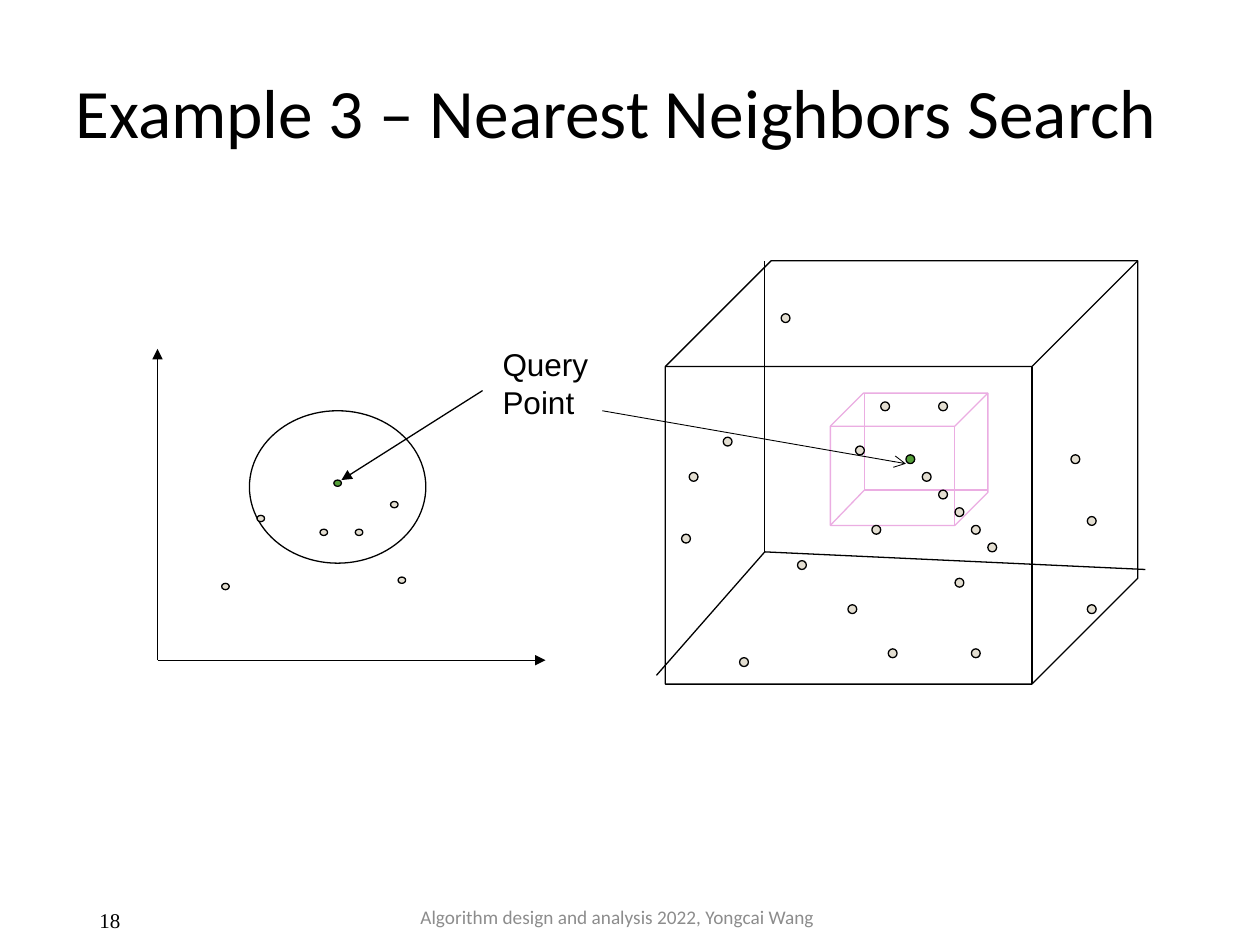
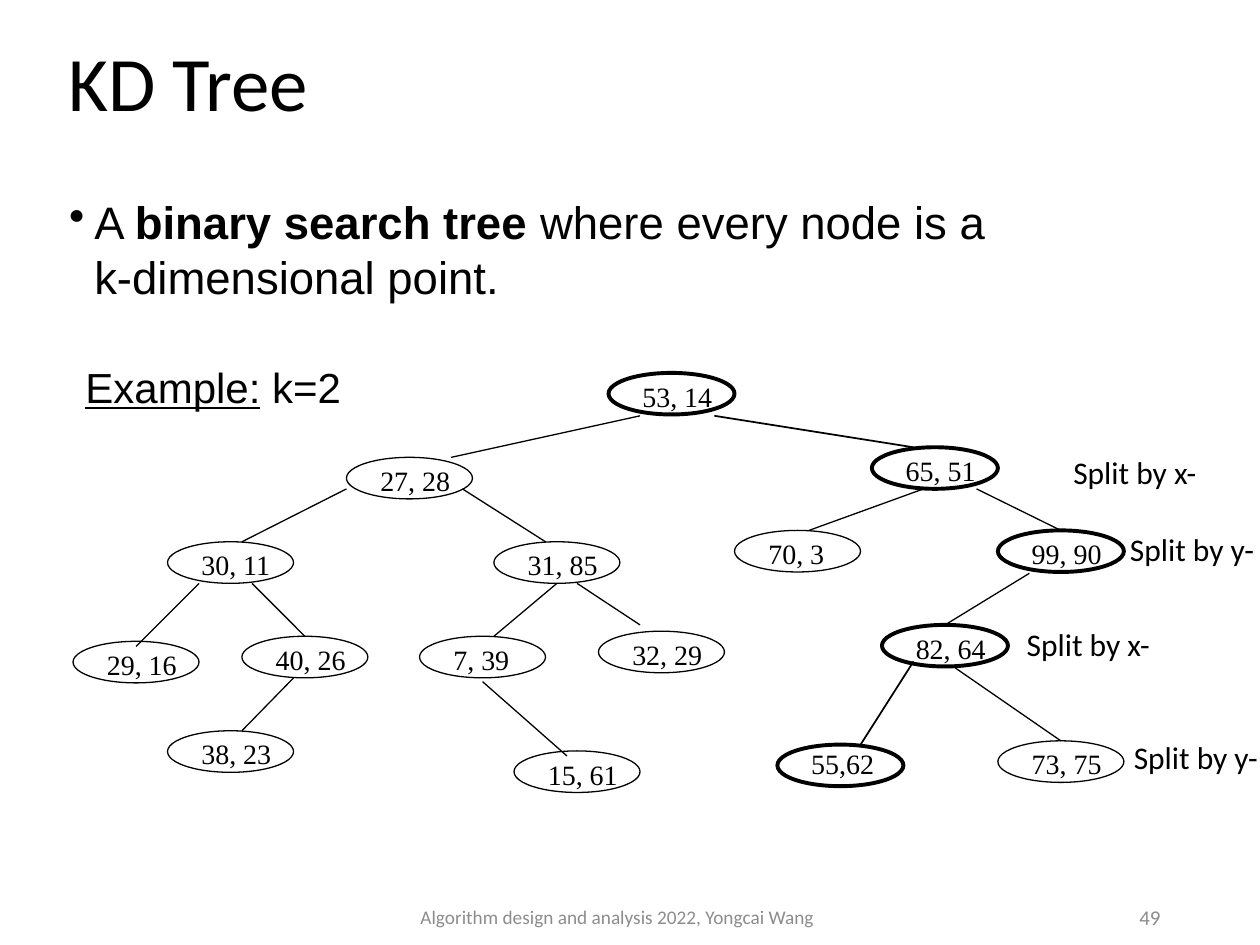
from lxml import etree
from pptx import Presentation
from pptx.dml.color import RGBColor
from pptx.enum.shapes import MSO_CONNECTOR, MSO_SHAPE
from pptx.enum.text import MSO_ANCHOR, MSO_AUTO_SIZE, PP_ALIGN
from pptx.oxml.ns import qn
from pptx.util import Pt

PX = 9144
STRAIGHT = MSO_CONNECTOR.STRAIGHT
OVAL = MSO_SHAPE.OVAL
DOT = MSO_SHAPE.FLOWCHART_CONNECTOR
CUBE = MSO_SHAPE.CUBE
TOP, MIDDLE = MSO_ANCHOR.TOP, MSO_ANCHOR.MIDDLE
LEFT, CENTER, RIGHT = PP_ALIGN.LEFT, PP_ALIGN.CENTER, PP_ALIGN.RIGHT
FIT_SHAPE, NO_FIT = MSO_AUTO_SIZE.SHAPE_TO_FIT_TEXT, MSO_AUTO_SIZE.NONE

BLACK, WHITE, GRAY = "000000", "FFFFFF", "8C8C8C"
GREEN, BEIGE, PINK = "549E39", "E3DED1", "EBADE2"
SANS, BODY, SERIF = "Calibri", "Arial", "Times New Roman"
FOOTER = "Algorithm design and analysis 2022, Yongcai Wang"
FOOTER_TOP, FOOTER_HEIGHT = 708, 40


def color(code):
    return RGBColor.from_string(code)


def px(*lengths):
    return [length * PX for length in lengths]


def set_attributes(target, values):
    for name, value in values.items():
        setattr(target, name, value)


class SlideBuilder:
    def __init__(self):
        self.deck = Presentation()
        self.deck.slide_width, self.deck.slide_height = px(1000, 750)
        self.page = None

    def new_page(self, title, place, size):
        self.page = self.deck.slides.add_slide(self.deck.slide_layouts[5])
        box = self.page.shapes.title
        set_attributes(box, dict(zip(("left", "top", "width", "height"), px(*place))))
        self.put_lines(box, [title], size, SANS, anchor=MIDDLE, spacing=0.9)
        self.text([FOOTER], (302, FOOTER_TOP, 376, FOOTER_HEIGHT), 11, SANS,
                  code=GRAY, align=CENTER, anchor=MIDDLE)

    def put_lines(self, box, lines, size, font, code=BLACK, align=LEFT, anchor=TOP,
                  wrap=True, spacing=1.0, bullet=False):
        frame = box.text_frame
        set_attributes(frame, {"word_wrap": wrap, "vertical_anchor": anchor,
                               "auto_size": NO_FIT if wrap else FIT_SHAPE})
        for index, line in enumerate(lines):
            para = frame.add_paragraph() if index else frame.paragraphs[0]
            if bullet:
                self.indent(para, "•" if index == 0 else None)
            set_attributes(para, {"alignment": align, "line_spacing": spacing,
                                  "space_before": Pt(0)})
            for part in [line] if isinstance(line, str) else line:
                words, accents = (part, {}) if isinstance(part, str) else part
                span = para.add_run()
                span.text = words
                set_attributes(span.font, {"size": Pt(size), "name": font, **accents})
                span.font.color.rgb = color(code)

    def indent(self, para, mark):
        properties = para._p.get_or_add_pPr()
        properties.set("marL", str(20 * PX))
        properties.set("indent", str(-20 * PX if mark else 0))
        if mark:
            etree.SubElement(properties, qn("a:buChar"), char=mark)
        else:
            etree.SubElement(properties, qn("a:buNone"))

    def text(self, lines, place, size, font, **options):
        self.put_lines(self.page.shapes.add_textbox(*px(*place)), lines, size, font, **options)

    def shape(self, kind, place, fill=None, line=BLACK, weight=0.75):
        shape = self.page.shapes.add_shape(kind, *px(*place))
        shape.shadow.inherit = False
        if fill:
            shape.fill.solid()
            shape.fill.fore_color.rgb = color(fill)
        else:
            shape.fill.background()
        shape.line.color.rgb = color(line)
        shape.line.width = Pt(weight)

    def line(self, ends, code=BLACK, weight=0.75, head=None):
        line = self.page.shapes.add_connector(STRAIGHT, *px(*ends))
        line.line.color.rgb = color(code)
        line.line.width = Pt(weight)
        properties = line._element.spPr
        if head:
            etree.SubElement(properties.find(qn("a:ln")), qn("a:tailEnd"), type=head)
        etree.SubElement(properties, qn("a:effectLst"))

    def dots(self, points, width, height, fill=BEIGE):
        for left, top in points:
            self.shape(DOT, (left, top, width, height), fill)

    def node(self, label, left, top, on_path=False, label_shift=0):
        self.shape(OVAL, (left, top, 100, 33), WHITE, weight=2.25 if on_path else 0.75)
        self.text([label], (left + 17, top + label_shift, 83, 37), 16, SERIF)


def add_neighbors_page(slides):
    slides.new_page("Example 3 – Nearest Neighbors Search", (50, 30, 915, 125), 39.6)
    slides.text(["18"], (69, 710, 225, FOOTER_HEIGHT), 12, SERIF, anchor=MIDDLE)

    for axis_end in ((125, 277), (433, 524)):
        slides.line((125, 524, *axis_end), head="triangle")
    slides.shape(OVAL, (198, 326, 140, 121))
    slides.dots([(265, 381)], 6, 5, GREEN)
    slides.dots([(176, 463), (316, 458), (204, 409), (310, 398), (282, 420), (254, 420)], 6, 5)
    slides.line((383, 310, 271, 381), head="triangle")
    slides.text(["Query", "Point"], (389, 269, 90, 71), 18, BODY)

    slides.shape(CUBE, (528, 207, 375, 336))
    for end in ((607, 207), (521, 536), (909, 452)):
        slides.line((607, 438, *end))
    slides.dots([(719, 361)], 7, 7, GREEN)
    slides.shape(CUBE, (659, 312, 125, 105), line=PINK)
    for end in ((686, 312), (659, 417), (784, 389)):
        slides.line((686, 389, *end), PINK)
    diagonal = [(732 + 13 * step, 375 + 14 * step) for step in range(5)]
    scattered = [(699, 319), (745, 319), (850, 361), (692, 417), (679, 354), (574, 347),
                 (633, 445), (705, 515), (547, 375), (541, 424), (863, 480), (863, 410),
                 (673, 480), (620, 249), (771, 515), (587, 522), (758, 459)]
    slides.dots(diagonal + scattered, 7, 7)
    slides.line((478, 326, 719, 368), weight=0.5, head="arrow")


def add_tree_page(slides):
    slides.new_page("KD Tree", (44, -4, 862, 145), 44)
    slides.text([["A ", ("binary search tree ", {"bold": True}), "where every node is a"],
                 "k-dimensional point."], (45, 149, 900, 98), 26, BODY, bullet=True)

    nodes = [("27, 28", 275, 363), ("31, 85", 392, 430), ("30, 11", 133, 430),
             ("70, 3", 583, 421), ("29, 16", 58, 509), ("40, 26", 192, 505),
             ("7, 39", 333, 505), ("32, 29", 475, 501), ("73, 75", 792, 588),
             ("15, 61", 408, 596), ("38, 23", 133, 580)]
    path_nodes = [("53, 14", 483, 296), ("65, 51", 692, 355), ("99, 90", 792, 421),
                  ("82, 64", 700, 496)]
    for node in nodes:
        slides.node(*node)
    for node in path_nodes:
        slides.node(*node, on_path=True)
    slides.node("55,62", 617, 591, on_path=True, label_shift=-3)

    edges = [(508, 330, 358, 363), (275, 388, 192, 430), (367, 388, 433, 430),
             (733, 388, 642, 421), (775, 388, 842, 421), (817, 455, 750, 496),
             (758, 530, 842, 588), (158, 463, 108, 513), (200, 463, 242, 505),
             (233, 538, 192, 580), (442, 463, 392, 505), (458, 463, 508, 496),
             (383, 541, 450, 600)]
    for edge in edges:
        slides.line(edge)
    for edge in ((567, 330, 725, 355), (725, 525, 683, 591)):
        slides.line(edge, weight=1)

    slides.text([[("Example:", {"underline": True}), " k=2"]], (58, 282, 225, 51), 24, BODY,
                wrap=False)
    for axis, left, top in (("x", 842, 355), ("y", 887, 416), ("x", 805, 491), ("y", 890, 581)):
        slides.text([f"Split by {axis}-"], (left, top, 120, 40), 18, SANS, wrap=False)
    slides.text(["49"], (706, FOOTER_TOP, 225, FOOTER_HEIGHT), 12, SANS,
                code=GRAY, align=RIGHT, anchor=MIDDLE)


def main():
    slides = SlideBuilder()
    add_neighbors_page(slides)
    add_tree_page(slides)
    slides.deck.save("out.pptx")


if __name__ == "__main__":
    main()
